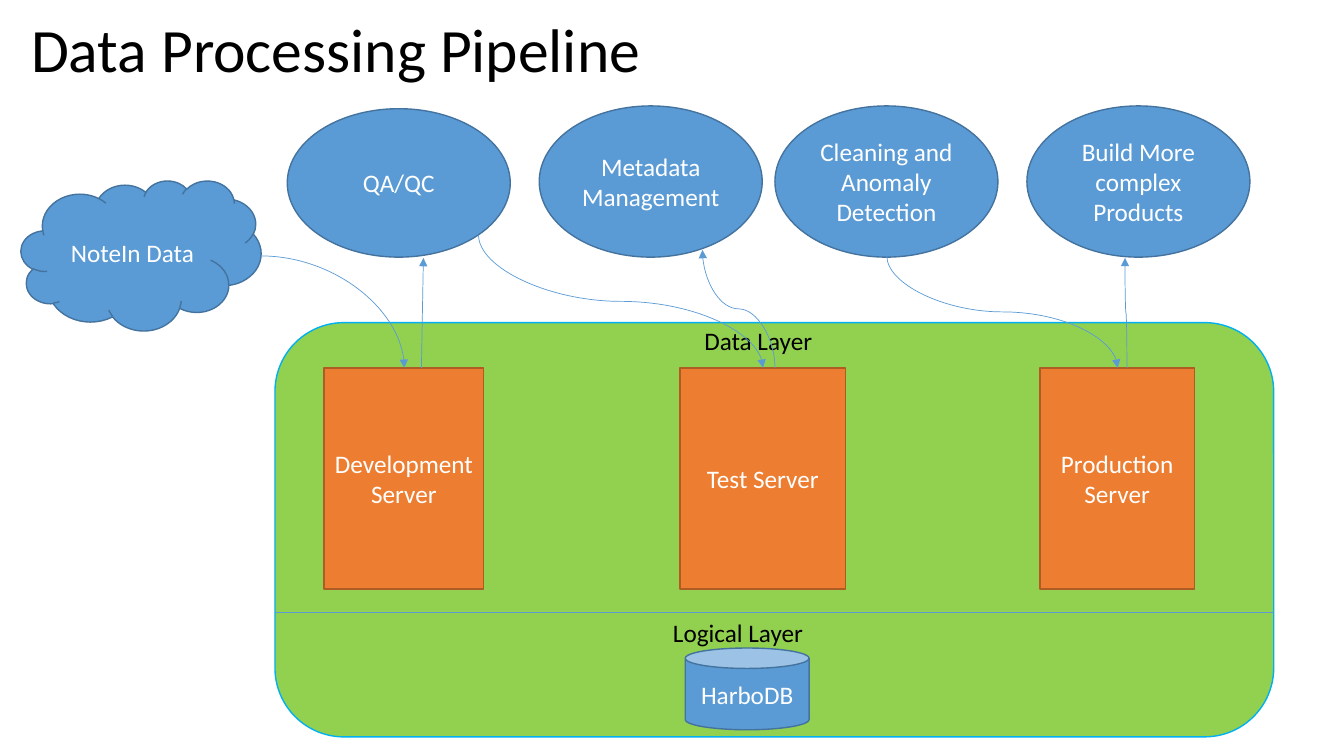
import pptx
import pptx.util
import pptx.dml.color
import pptx.enum.shapes
import pptx.enum.text
import pptx.oxml.ns
import lxml.etree

Cm = pptx.util.Cm
Pt = pptx.util.Pt
RGBColor = pptx.dml.color.RGBColor
Kind = pptx.enum.shapes.MSO_SHAPE
Link = pptx.enum.shapes.MSO_CONNECTOR
Align = pptx.enum.text.PP_ALIGN
Anchor = pptx.enum.text.MSO_ANCHOR
qn = pptx.oxml.ns.qn

BLACK = RGBColor(0x00, 0x00, 0x00)
WHITE = RGBColor(0xFF, 0xFF, 0xFF)
BLUE = RGBColor(0x5B, 0x9B, 0xD5)
NAVY = RGBColor(0x43, 0x73, 0x9E)
GREEN = RGBColor(0x92, 0xD0, 0x50)
CYAN = RGBColor(0x00, 0xB0, 0xF0)
ORANGE = RGBColor(0xED, 0x7D, 0x31)
BROWN = RGBColor(0xAF, 0x5C, 0x24)


def write(frame, text, size=18, color=BLACK, align=Align.LEFT, anchor=Anchor.TOP, space=1.0):
    frame.word_wrap = True
    frame.vertical_anchor = anchor
    para = frame.paragraphs[0]
    para.alignment = align
    para.line_spacing = space
    run = para.add_run()
    run.text = text
    run.font.name = "Calibri"
    run.font.size = Pt(size)
    run.font.color.rgb = color


def add_block(slide, kind, box, text="", fill=BLUE, edge=NAVY):
    block = slide.shapes.add_shape(kind, *map(Cm, box))
    block.shadow.inherit = False
    block.fill.solid()
    block.fill.fore_color.rgb = fill
    block.line.color.rgb = edge
    block.line.width = Pt(1)
    if text:
        frame = block.text_frame
        frame.margin_left = frame.margin_right = Cm(0.2)
        write(frame, text, color=WHITE, align=Align.CENTER, anchor=Anchor.MIDDLE)


def add_label(slide, box, text):
    write(slide.shapes.add_textbox(*map(Cm, box)).text_frame, text)


def add_line(slide, kind, start, end, arrow=True):
    line = slide.shapes.add_connector(kind, *map(Cm, start + end))
    line.line.color.rgb = BLUE
    line.line.width = Pt(0.5)
    if arrow:
        tail = lxml.etree.SubElement(line.line._get_or_add_ln(), qn("a:tailEnd"))
        tail.set("type", "triangle")
    lxml.etree.SubElement(line._element.spPr, qn("a:effectLst"))
    return line


def add_bend(slide, start, end):
    """Draw a curve that leaves and arrives vertically: a sideways one, turned."""
    (x1, y1), (x2, y2) = start, end
    mid_x, mid_y = (x1 + x2) / 2, (y1 + y2) / 2
    half_w, half_h = abs(y2 - y1) / 2, abs(x2 - x1) / 2
    if (x2 > x1) == (y2 > y1):
        half_h = -half_h
    line = add_line(slide, Link.CURVE, (mid_x - half_w, mid_y - half_h),
                    (mid_x + half_w, mid_y + half_h))
    line.rotation = 90 if y2 > y1 else 270


def add_title(slide, box, text):
    title = slide.shapes.title
    title.left, title.top, title.width, title.height = map(Cm, box)
    write(title.text_frame, text, size=44, anchor=Anchor.MIDDLE, space=0.9)


def add_panel(slide, box):
    left, top, width, height = box
    add_block(slide, Kind.ROUNDED_RECTANGLE, box, fill=GREEN, edge=CYAN)
    split = top + 7.29
    add_line(slide, Link.STRAIGHT, (left, split), (left + width, split), arrow=False)
    servers = [(1.24, 4.02, "Development Server"), (10.21, 4.17, "Test Server"),
               (19.28, 3.89, "Production Server")]
    for x, wide, text in servers:
        add_block(slide, Kind.RECTANGLE, (left + x, top + 1.14, wide, 5.57), text,
                  fill=ORANGE, edge=BROWN)
    add_label(slide, (left + 10.57, top - 0.05, 3.66, 1.02), "Data Layer")
    add_label(slide, (left + 9.78, split, 4.44, 1.02), "Logical Layer")
    add_block(slide, Kind.CAN, (left + 10.34, top + 8.2, 3.12, 2.06), "HarboDB")


def add_stages(slide, box):
    left, top, width, height = box
    stages = [(0, 0.07, "QA/QC"), (6.35, 0, "Metadata Management"),
              (12.29, 0, "Cleaning and Anomaly Detection"),
              (18.64, 0, "Build More complex Products")]
    for x, drop, text in stages:
        add_block(slide, Kind.OVAL, (left + x, top + drop, 5.62, height - drop), text)


def add_flow(slide, box):
    """Link the data source, the stages and the servers, whose tops are the box's foot."""
    left, top, width, height = box

    def spot(x, y):
        return left + x, top + y

    feed = add_line(slide, Link.CURVE, spot(0, 0.53), spot(3.61, height))
    feed._element.spPr.find(qn("a:prstGeom")).set("prst", "curvedConnector2")
    add_line(slide, Link.STRAIGHT, spot(4.04, height), spot(4.09, 0.58))
    add_bend(slide, spot(5.48, 0), spot(12.65, height))
    add_bend(slide, spot(12.95, height), spot(11.12, 0.38))
    add_bend(slide, spot(15.77, 0.53), spot(21.59, height))
    add_bend(slide, spot(width, height), spot(width - 0.05, 0.58))


def main():
    deck = pptx.Presentation()
    deck.slide_width, deck.slide_height = Cm(33.87), Cm(19.05)
    slide = deck.slides.add_slide(deck.slide_layouts[5])
    add_title(slide, (0.53, 0.13, 29.21, 2.39), "Data Processing Pipeline")
    add_panel(slide, (6.93, 8.13, 25.17, 10.44))
    add_block(slide, Kind.CLOUD, (0.53, 4.55, 6.05, 3.78), "NoteIn Data")
    add_stages(slide, (7.24, 2.67, 24.26, 3.81))
    add_flow(slide, (6.58, 5.92, 21.82, 3.35))
    deck.save("out.pptx")


if __name__ == "__main__":
    main()
